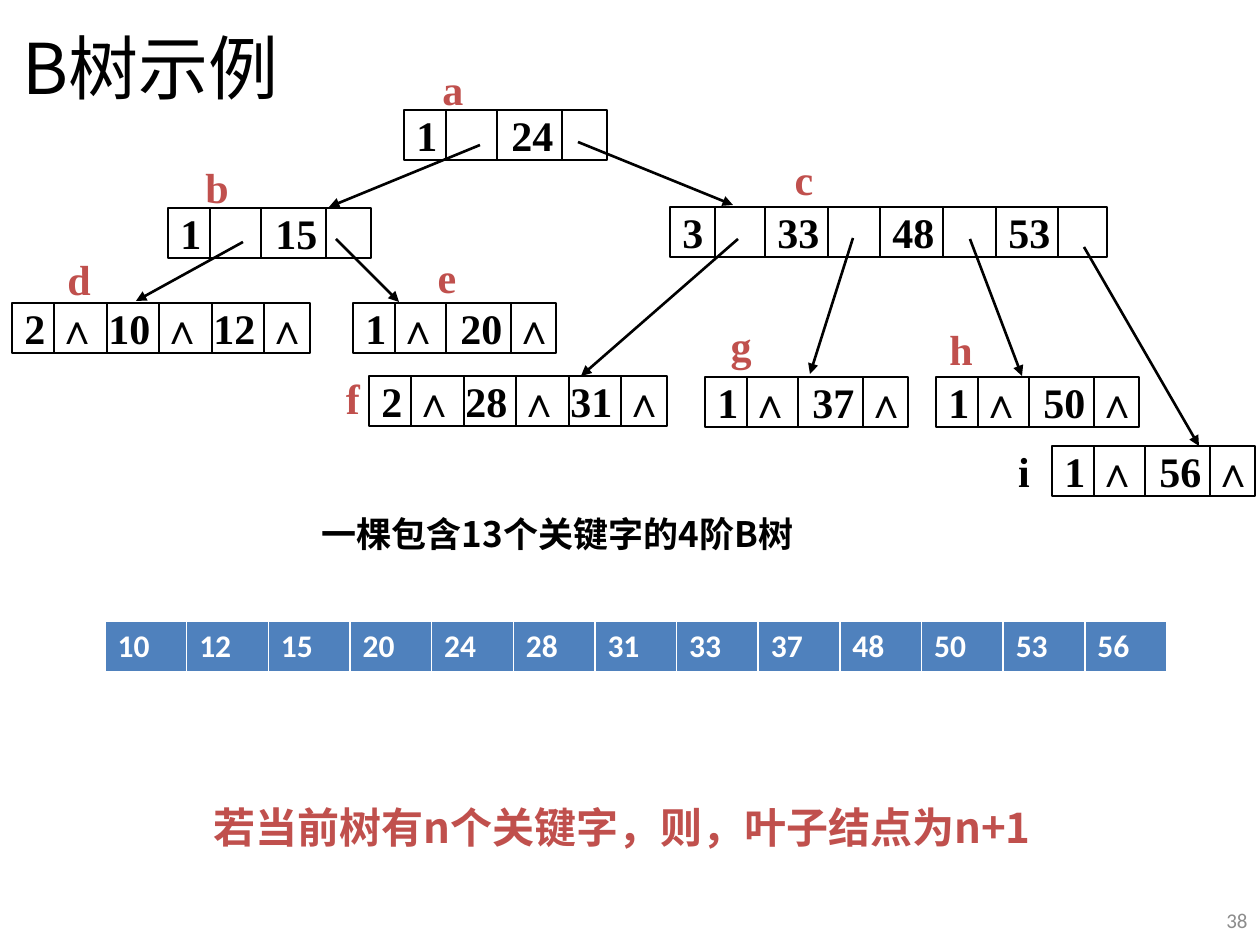
from dataclasses import dataclass

from lxml.etree import SubElement
from pptx import Presentation
from pptx.dml.color import RGBColor
from pptx.enum.shapes import MSO_CONNECTOR, MSO_SHAPE
from pptx.enum.text import MSO_ANCHOR, PP_ALIGN
from pptx.oxml.ns import qn
from pptx.util import Emu, Pt

EMU_PER_PX = 914400 / 126
BLACK, WHITE, RED, BLUE, GREY = "000000", "FFFFFF", "C0504D", "4F81BD", "8C8C8C"
SERIF, HAN, HAN_TITLE, SANS = "Times New Roman", "Noto Sans CJK SC", "Noto Sans CJK JP", "Calibri"
NODE_HEIGHT = 50


@dataclass(frozen=True)
class NodeLayout:
    width: int
    dividers: tuple[int, ...]
    tabs: tuple[int, ...]


@dataclass(frozen=True)
class Node:
    text: str
    left: int
    top: int
    layout: NodeLayout


@dataclass(frozen=True)
class Label:
    text: str
    left: int
    top: int
    color: str = RED


@dataclass(frozen=True)
class Pointer:
    x1: int
    y1: int
    x2: int
    y2: int


BRANCH = NodeLayout(203, (42, 93, 158), (95,))
LEAF = NodeLayout(203, (42, 93, 158), (32, 95, 148))
DOUBLE_LEAF = NodeLayout(298, (42, 95, 147, 200, 252), (32, 84, 137, 189, 242))
WIDE_BRANCH = NodeLayout(437, (45, 95, 158, 210, 273, 326, 388), (95, 210, 326))

NODES = [
    Node("1\t24", 404, 110, BRANCH),
    Node("1\t15", 168, 208, BRANCH),
    Node("3\t33\t48\t53", 670, 207, WIDE_BRANCH),
    Node("2\t∧\t10\t∧\t12\t∧", 12, 303, DOUBLE_LEAF),
    Node("1\t∧\t20\t∧", 353, 303, LEAF),
    Node("2\t∧\t28\t∧\t31\t∧", 369, 376, DOUBLE_LEAF),
    Node("1\t∧\t37\t∧", 705, 377, LEAF),
    Node("1\t∧\t50\t∧", 936, 377, LEAF),
    Node("1\t∧\t56\t∧", 1052, 446, LEAF),
]
LABELS = [
    Label("a", 428, 64), Label("b", 192, 162), Label("c", 779, 154),
    Label("d", 54, 254), Label("e", 422, 252), Label("f", 328, 373),
    Label("g", 716, 320), Label("h", 936, 324), Label("i", 999, 446, BLACK),
]
POINTERS = [
    Pointer(480, 145, 329, 207), Pointer(578, 142, 733, 205),
    Pointer(243, 242, 136, 301), Pointer(336, 239, 399, 302),
    Pointer(738, 239, 581, 376), Pointer(853, 238, 810, 374),
    Pointer(970, 239, 1022, 376), Pointer(1084, 247, 1199, 446),
]
KEYS = [10, 12, 15, 20, 24, 28, 31, 33, 37, 48, 50, 53, 56]


def px(length: int) -> Emu:
    return Emu(round(length * EMU_PER_PX))


def rgb(color: str) -> RGBColor:
    return RGBColor.from_string(color)


def write(frame, text: str, size: int, font: str, color: str, bold: bool = True,
          align: PP_ALIGN = PP_ALIGN.LEFT, east_asian: str = HAN) -> None:
    frame.text = text
    paragraph = frame.paragraphs[0]
    paragraph.alignment = align
    for run in paragraph.runs:
        run.font.size = Pt(size)
        run.font.name = font
        run.font.bold = bold
        run.font.color.rgb = rgb(color)
        SubElement(run.font._element, qn("a:ea"), typeface=east_asian)


def add_text(slide, text: str, left: int, top: int, width: int, height: int, size: int,
             font: str, color: str, bold: bool = True, align: PP_ALIGN = PP_ALIGN.CENTER,
             anchor: MSO_ANCHOR = MSO_ANCHOR.MIDDLE, wrap: bool = False) -> None:
    frame = slide.shapes.add_textbox(px(left), px(top), px(width), px(height)).text_frame
    frame.word_wrap = wrap
    frame.vertical_anchor = anchor
    write(frame, text, size, font, color, bold, align)


def add_line(slide, x1: int, y1: int, x2: int, y2: int, arrow: bool = False) -> None:
    line = slide.shapes.add_connector(MSO_CONNECTOR.STRAIGHT, px(x1), px(y1), px(x2), px(y2))
    line.line.color.rgb = rgb(BLACK)
    line.line.width = Pt(1.5)
    if arrow:
        SubElement(line.line._get_or_add_ln(), qn("a:tailEnd"), type="triangle")
    SubElement(line._element.spPr, qn("a:effectLst"))


def add_node(slide, node: Node) -> None:
    box = slide.shapes.add_shape(MSO_SHAPE.RECTANGLE, px(node.left), px(node.top),
                                 px(node.layout.width), px(NODE_HEIGHT))
    box.shadow.inherit = False
    box.fill.background()
    box.line.color.rgb = rgb(BLACK)
    box.line.width = Pt(1.5)
    frame = box.text_frame
    frame.word_wrap = False
    frame.vertical_anchor = MSO_ANCHOR.MIDDLE
    write(frame, node.text, 24, SERIF, BLACK)
    tab_list = SubElement(frame.paragraphs[0]._p.get_or_add_pPr(), qn("a:tabLst"))
    for tab in node.layout.tabs:
        SubElement(tab_list, qn("a:tab"), pos=str(px(tab)), algn="l")
    for offset in node.layout.dividers:
        x = node.left + offset
        add_line(slide, x, node.top, x, node.top + NODE_HEIGHT)


def add_key_table(slide, keys: list[int]) -> None:
    table = slide.shapes.add_table(1, len(keys), px(105), px(621), px(1062), px(51)).table
    table.horz_banding = False
    for cell, key in zip(table.rows[0].cells, keys):
        cell.fill.solid()
        cell.fill.fore_color.rgb = rgb(BLUE)
        write(cell.text_frame, str(key), 18, SANS, WHITE)


def add_title(slide, text: str) -> None:
    title = slide.shapes.title
    title.left, title.top, title.width, title.height = px(10), px(11), px(372), px(111)
    title.text_frame.vertical_anchor = MSO_ANCHOR.MIDDLE
    write(title.text_frame, text, 40, HAN_TITLE, BLACK, bold=False, east_asian=HAN_TITLE)


def main() -> None:
    presentation = Presentation()
    presentation.slide_width, presentation.slide_height = px(1260), px(945)
    slide = presentation.slides.add_slide(presentation.slide_layouts[5])
    add_title(slide, "B树示例")
    for label in LABELS:
        add_text(slide, label.text, label.left, label.top, 50, 50, 24, SERIF, label.color)
    for node in NODES:
        add_node(slide, node)
    for pointer in POINTERS:
        add_line(slide, pointer.x1, pointer.y1, pointer.x2, pointer.y2, arrow=True)
    add_text(slide, "一棵包含13个关键字的4阶B树", 232, 508, 651, 50, 20, HAN, BLACK)
    add_key_table(slide, KEYS)
    add_text(slide, "若当前树有n个关键字，则，叶子结点为n+1", 91, 795, 1062, 63, 24, HAN, RED,
             anchor=MSO_ANCHOR.TOP, wrap=True)
    add_text(slide, "38", 1206, 895, 54, 50, 12, SANS, GREY, bold=False,
             align=PP_ALIGN.RIGHT, wrap=True)
    presentation.save("out.pptx")


if __name__ == "__main__":
    main()
